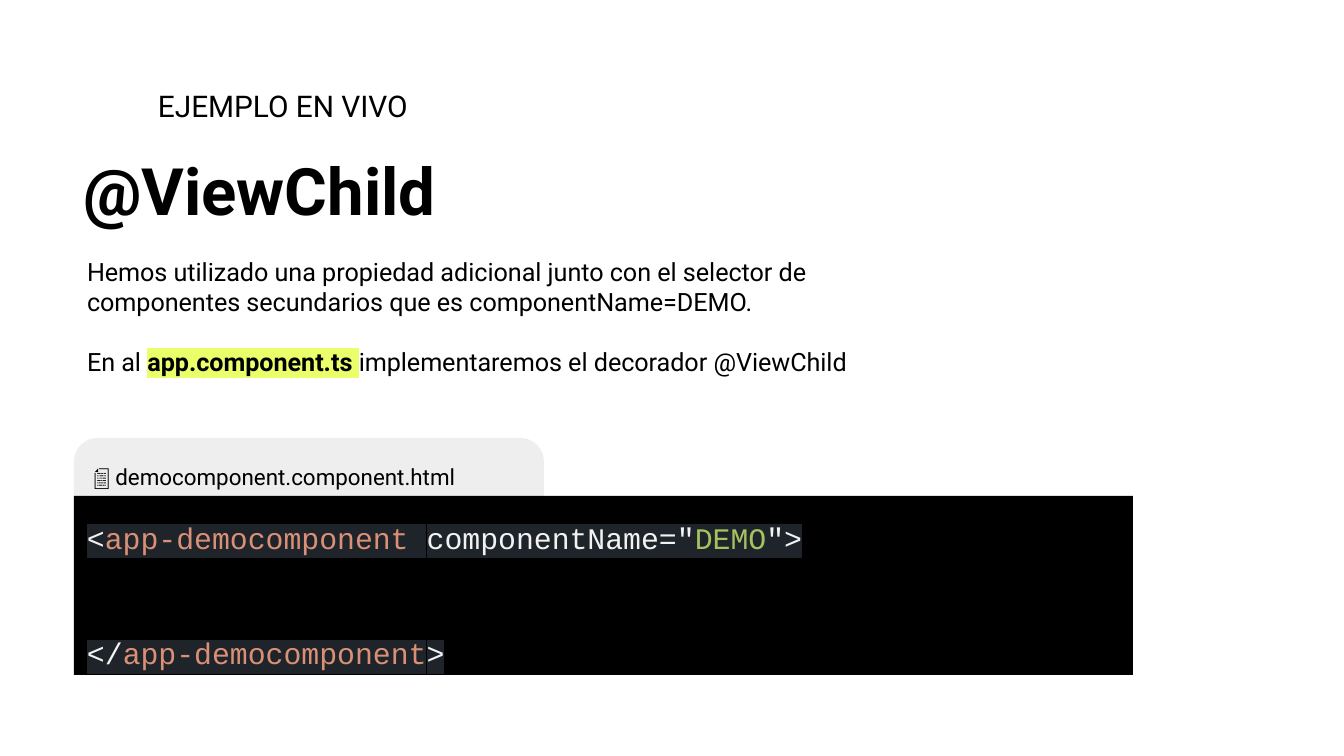
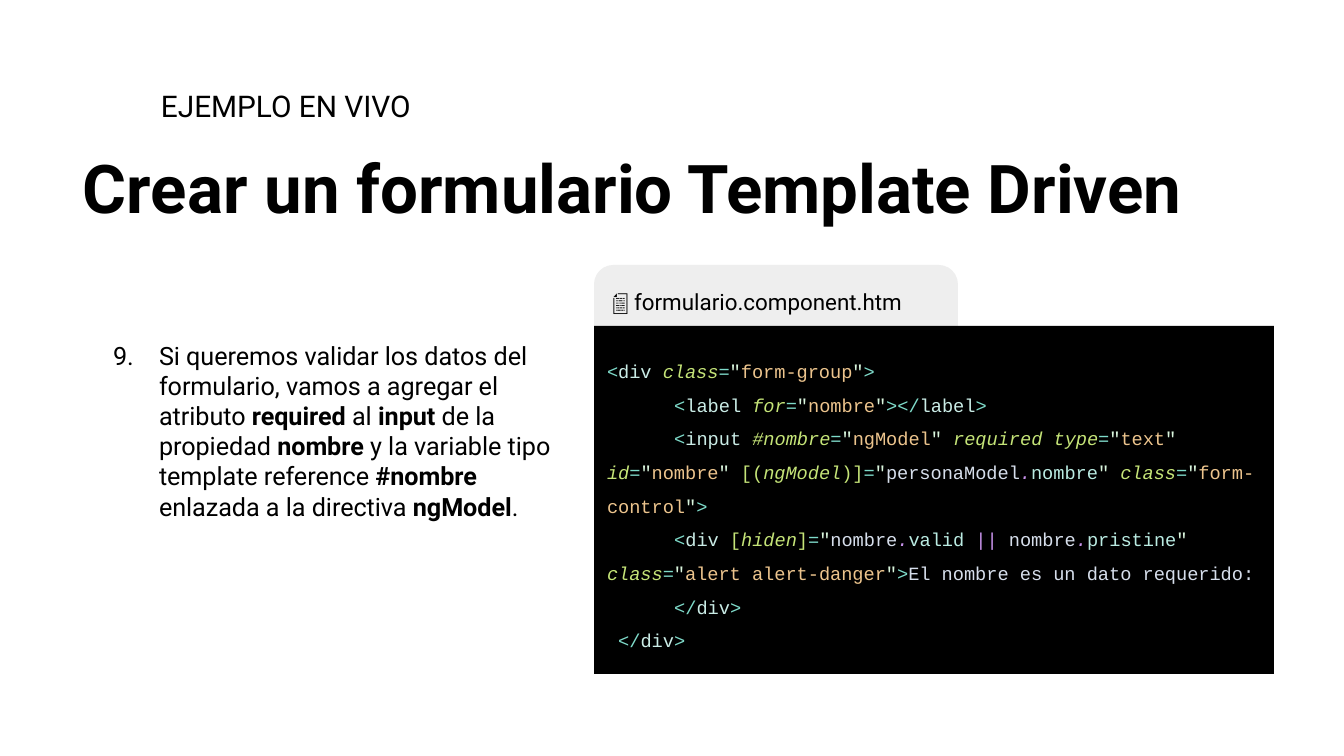
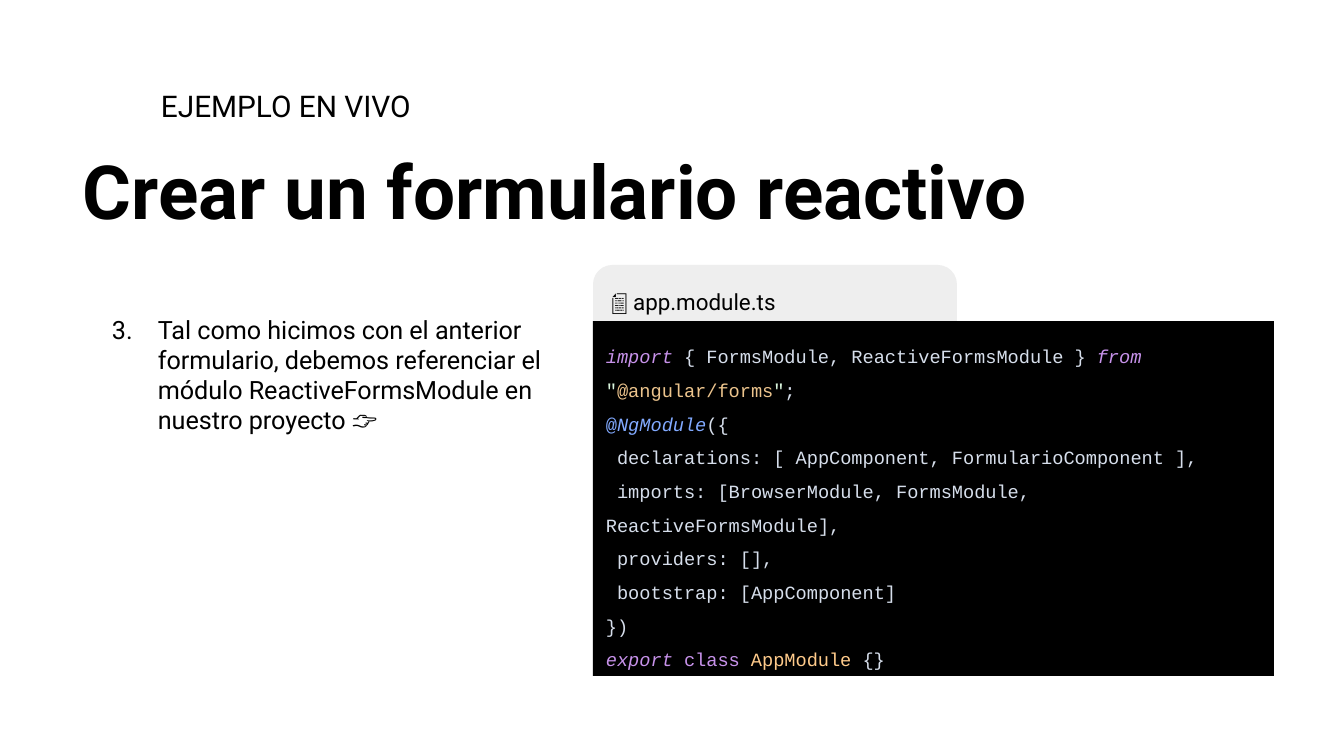
import dataclasses

import pptx
import pptx.dml.color
import pptx.enum.shapes
import pptx.enum.text
import pptx.oxml
import pptx.oxml.ns
import pptx.util

SCALE = 914400 / 134.4  # EMU in one px
Pt = pptx.util.Pt
Shape = pptx.enum.shapes.MSO_SHAPE
Anchor = pptx.enum.text.MSO_ANCHOR
qn = pptx.oxml.ns.qn


@dataclasses.dataclass(frozen=True)
class Look:
    color: str
    font: str = "Courier New"
    bold: bool = False
    italic: bool = False
    mark: str = ""


# Colours, type sizes and run styles
class Theme:
    ink, tab, code = "000000", "EEEEEE", "000000"
    kicker, body, file, big, small = 16, 13.5, 12, 16, 10
    pad = 13
    looks = {
        # prose
        "r": Look(ink, "Roboto"),
        "b": Look(ink, "Roboto", bold=True),
        "m": Look(ink, "Roboto", bold=True, mark="EAFF6A"),
        # marked markup
        "H": Look("F2F2F2", mark="1E2429"),
        "G": Look("D99077", mark="1E2429"),
        "D": Look("A5C261", mark="1E2429"),
        # code: signs, tags, attributes, quotes, strings, words
        "t": Look("7FDBCA"),
        "n": Look("CAECE6"),
        "a": Look("C5E478", italic=True),
        "A": Look("C5E478"),
        "q": Look("D9F5DD"),
        "s": Look("ECC48D"),
        "w": Look("D6DEEB"),
        "k": Look("C792EA", italic=True),
        "K": Look("C792EA"),
        "p": Look("BAEBE2"),
        "f": Look("82AAFF", italic=True),
        "F": Look("82AAFF"),
        "c": Look("FFCB8B"),
    }


# Each piece is "~", a key of Theme.looks, then its text
VIEW = ['~H<~Gapp-democomponent ~HcomponentName="~DDEMO~H">',
        "~H</~Gapp-democomponent~H>"]

FORM = [
    '~t<~ndiv ~aclass~t=~q"~sform-group~q"~t>',
    '~w  \t~t<~nlabel ~afor~t=~q"~snombre~q"~t></~nlabel~t>',
    '~w  \t~t<~ninput ~a#nombre~t=~q"~sngModel~q" ~arequired type~t=~q"~stext~q" '
    '~aid~t=~q"~snombre~q" ~A[(~angModel~A)]~t=~q"~wpersonaModel~k.~pnombre~q" '
    '~aclass~t=~q"~sform-control~q"~t>',
    '~w  \t~t<~ndiv ~A[~ahiden~A]~t=~q"~wnombre~k.~pvalid ~K|| ~wnombre~k.~ppristine~q" '
    '~aclass~t=~q"~salert alert-danger~q"~t>~wEl nombre es un dato requerido:\n\t'
    '~t</~ndiv~t>',
    "~w ~t</~ndiv~t>",
]

MODULE = [
    '~kimport~w { FormsModule, ReactiveFormsModule } ~kfrom ~q"~s@angular/forms~q"~w;',
    "~F@~fNgModule~w({",
    "~w declarations: [ AppComponent, FormularioComponent ],",
    "~w imports: [BrowserModule, FormsModule, ReactiveFormsModule],",
    "~w providers: [],",
    "~w bootstrap: [AppComponent]",
    "~w})",
    "~kexport ~Kclass ~cAppModule~w {}",
]


def px(n):
    return pptx.util.Emu(round(n * SCALE))


def rgb(code):
    return pptx.dml.color.RGBColor.from_string(code)


# Text
def style(run, look, size):
    font = run.font
    font.name, font.size = look.font, Pt(size)
    font.bold, font.italic = look.bold, look.italic
    font.color.rgb = rgb(look.color)
    if look.mark:
        light = pptx.oxml.parse_xml(
            f'<a:highlight {pptx.oxml.ns.nsdecls("a")}>'
            f'<a:srgbClr val="{look.mark}"/></a:highlight>')
        run.font._element.find(qn("a:solidFill")).addnext(light)


def write(para, line, size):
    for piece in line.split("~")[1:]:
        look = Theme.looks[piece[0]]
        for i, text in enumerate(piece[1:].split("\n")):
            if i:
                para.add_line_break()
            run = para.add_run()
            run.text = text
            style(run, look, size)


def fill(shape, lines, size, lead=None, gap=0, anchor=Anchor.TOP, top=Theme.pad):
    frame = shape.text_frame
    frame.word_wrap = True
    frame.vertical_anchor = anchor
    frame.margin_left = frame.margin_right = frame.margin_bottom = px(Theme.pad)
    frame.margin_top = px(top)
    for i, line in enumerate(lines):
        para = frame.add_paragraph() if i else frame.paragraphs[0]
        para.alignment = pptx.enum.text.PP_ALIGN.LEFT
        if lead:
            para.line_spacing = lead
        if i and gap:
            para.space_before = Pt(gap)
        write(para, line, size)


def label(slide, box, lines, size, **opts):
    shape = slide.shapes.add_textbox(*map(px, box))
    fill(shape, lines, size, **opts)
    return shape


# Parts of a slide
def block(slide, kind, box, color):
    shape = slide.shapes.add_shape(kind, *map(px, box))
    shape.shadow.inherit = False
    shape.fill.solid()
    shape.fill.fore_color.rgb = rgb(color)
    shape.line.fill.background()
    return shape


def head(slide, title, size, box, left=148):
    label(slide, box, ["~b" + title], size, lead=0.9)
    label(slide, (left, 75, 296, 63), ["~rEJEMPLO EN VIVO"], Theme.kicker)


def step(slide, box, start, line):
    shape = label(slide, box, [line], Theme.body)
    props = shape.text_frame.paragraphs[0]._p.get_or_add_pPr()
    props.set("marL", str(px(67)))
    props.set("indent", str(px(-46)))
    space = pptx.oxml.ns.nsdecls("a")
    for xml in (f'<a:buClr {space}><a:srgbClr val="{Theme.ink}"/></a:buClr>',
                f'<a:buAutoNum {space} type="arabicPeriod" startAt="{start}"/>'):
        props.append(pptx.oxml.parse_xml(xml))


def panel(slide, name, tab, box, lines, size, **opts):
    flap = block(slide, Shape.ROUNDED_RECTANGLE, tab, Theme.tab)
    fill(flap, ["~r📄 " + name], Theme.file, top=18)
    fill(block(slide, Shape.RECTANGLE, box, Theme.code), lines, size, **opts)


# Slides
def view(slide):
    label(slide, (74, 243, 802, 179), [
        "~rHemos utilizado una propiedad adicional junto con el selector de "
        "componentes secundarios que es componentName=DEMO.",
        "~rEn al ~mapp.component.ts ~rimplementaremos el decorador @ViewChild",
    ], Theme.body, gap=16)
    head(slide, "@ViewChild", 35, (70, 146, 509, 98), left=145)
    panel(slide, "democomponent.component.html", (74, 438, 470, 142),
          (74, 496, 1059, 179), VIEW, Theme.big, lead=1.15, gap=40, top=18)


def form(slide):
    head(slide, "Crear un formulario Template Driven", 36, (70, 142, 1204, 101))
    step(slide, (79, 327, 513, 211), 9,
         "~rSi queremos validar los datos del formulario, vamos a agregar el "
         "atributo ~brequired ~ral ~binput ~rde la propiedad ~bnombre ~ry la "
         "variable tipo template reference ~b#nombre~r enlazada a la directiva "
         "~bngModel~r.")
    panel(slide, "formulario.component.htm", (594, 265, 364, 116),
          (594, 326, 680, 348), FORM, Theme.small, lead=1.5, anchor=Anchor.MIDDLE)


def react(slide):
    head(slide, "Crear un formulario reactivo", 40, (70, 142, 1204, 109))
    step(slide, (78, 301, 489, 149), 3,
         "~rTal como hicimos con el anterior formulario, debemos referenciar el "
         "módulo ReactiveFormsModule en nuestro proyecto 👉")
    panel(slide, "app.module.ts", (593, 265, 364, 116),
          (593, 321, 681, 355), MODULE, Theme.small, lead=1.5)


def main():
    deck = pptx.Presentation()
    deck.slide_width, deck.slide_height = px(1344), px(756)
    for draw in (view, form, react):
        draw(deck.slides.add_slide(deck.slide_layouts[6]))
    deck.save("out.pptx")


if __name__ == "__main__":
    main()
